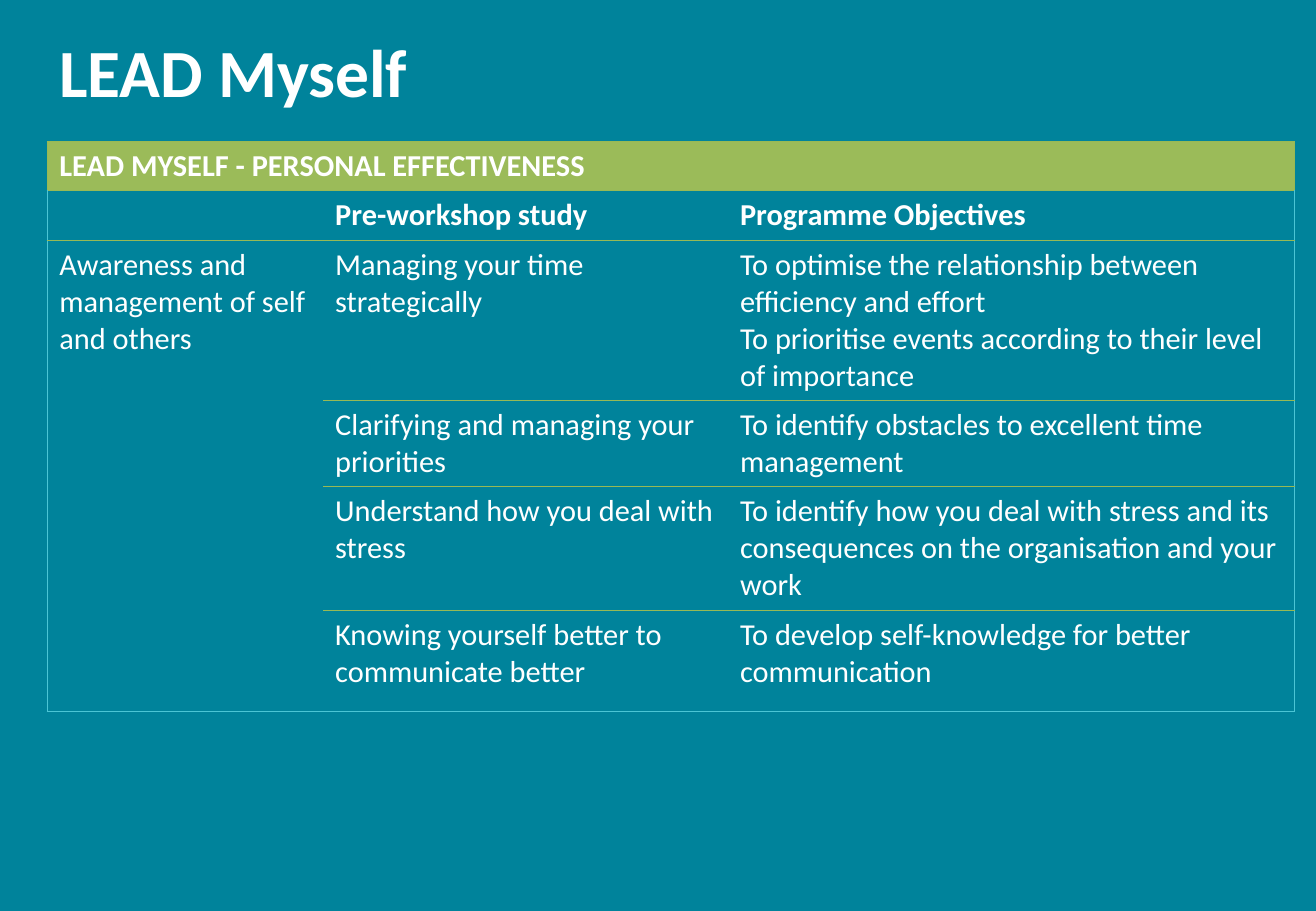
import lxml.etree
import pptx
import pptx.dml.color
import pptx.enum.text
import pptx.oxml.ns
import pptx.util

Pt = pptx.util.Pt
HEX = {"back": "00839B", "text": "FFFFFF", "head": "9BBB59", "rule": "98B955", "frame": "4BC5D5"}
COLS = [163.5, 240, 336]
ROWS = [29.2, 29.4, 94.8, 51.2, 73.2, 60]
CELLS = [
    ["LEAD MYSELF - PERSONAL EFFECTIVENESS", "", ""],
    ["", "Pre-workshop study", "Programme Objectives"],
    ["Awareness and management of self and others", "Managing your time strategically",
     "To optimise the relationship between efficiency and effort\n"
     "To prioritise events according to their level of importance"],
    ["", "Clarifying and managing your priorities", "To identify obstacles to excellent time management"],
    ["", "Understand how you deal with stress",
     "To identify how you deal with stress and its consequences on the organisation and your work"],
    ["", "Knowing yourself better to communicate better", "To develop self-knowledge for better communication"],
]


def color(name):
    """Return the named colour."""
    return pptx.dml.color.RGBColor.from_string(HEX[name])


def write(frame, text, size, bold):
    """Write text in the slide's font, one paragraph per line."""
    frame.word_wrap = True
    frame.text = text
    form = {"name": "Calibri", "size": Pt(size), "bold": bold}
    for para in frame.paragraphs:
        for key, value in form.items():
            setattr(para.font, key, value)
        para.font.color.rgb = color("text")


def level(edge, col):
    """Name the colour of a level grid line, or None."""
    if edge == len(ROWS):
        return "frame"
    return None if col == 0 and edge > 2 else "rule"


def upright(edge, row):
    """Name the colour of an upright grid line, or None."""
    if 0 < edge < len(COLS):
        return None
    return "frame" if row else "rule"


def border(cell, row, col):
    """Draw the four sides of a cell by the grid rules."""
    sides = {
        "lnL": upright(col, row),
        "lnR": upright(col + cell.span_width, row),
        "lnT": level(row, col),
        "lnB": level(row + cell.span_height, col),
    }
    props = cell._tc.get_or_add_tcPr()
    qn = pptx.oxml.ns.qn
    for spot, (side, name) in enumerate(sides.items()):
        line = lxml.etree.Element(qn("a:" + side), w=str(Pt(0.75)))
        props.insert(spot, line)
        if name:
            fill = lxml.etree.SubElement(line, qn("a:solidFill"))
            lxml.etree.SubElement(fill, qn("a:srgbClr"), val=HEX[name])
        else:
            lxml.etree.SubElement(line, qn("a:noFill"))


def title(slide, left, top, width, height):
    """Place the slide title in its box."""
    frame = slide.shapes.add_textbox(Pt(left), Pt(top), Pt(width), Pt(height)).text_frame
    write(frame, "LEAD Myself", 40, True)
    frame.vertical_anchor = pptx.enum.text.MSO_ANCHOR.MIDDLE


def grid(slide, left, top):
    """Place the programme table from its top left corner."""
    table = slide.shapes.add_table(len(ROWS), len(COLS), Pt(left), Pt(top), Pt(sum(COLS)), Pt(sum(ROWS))).table
    table.first_row = table.horz_banding = False
    for col, width in zip(table.columns, COLS):
        col.width = Pt(width)
    for row, height in zip(table.rows, ROWS):
        row.height = Pt(height)
    table.cell(0, 0).merge(table.cell(0, 2))
    table.cell(2, 0).merge(table.cell(5, 0))
    for row, texts in enumerate(CELLS):
        for col, text in enumerate(texts):
            cell = table.cell(row, col)
            write(cell.text_frame, text, 18, row < 2)
            if row:
                cell.fill.background()
            else:
                cell.fill.solid()
                cell.fill.fore_color.rgb = color("head")
            border(cell, row, col)


def main():
    """Build and save the slide."""
    deck = pptx.Presentation()
    deck.slide_width, deck.slide_height = Pt(780), Pt(540)
    slide = deck.slides.add_slide(deck.slide_layouts[6])
    slide.background.fill.solid()
    slide.background.fill.fore_color.rgb = color("back")
    title(slide, 28, 14.5, 649.5, 54.5)
    grid(slide, 28, 84)
    deck.save("out.pptx")


if __name__ == "__main__":
    main()
